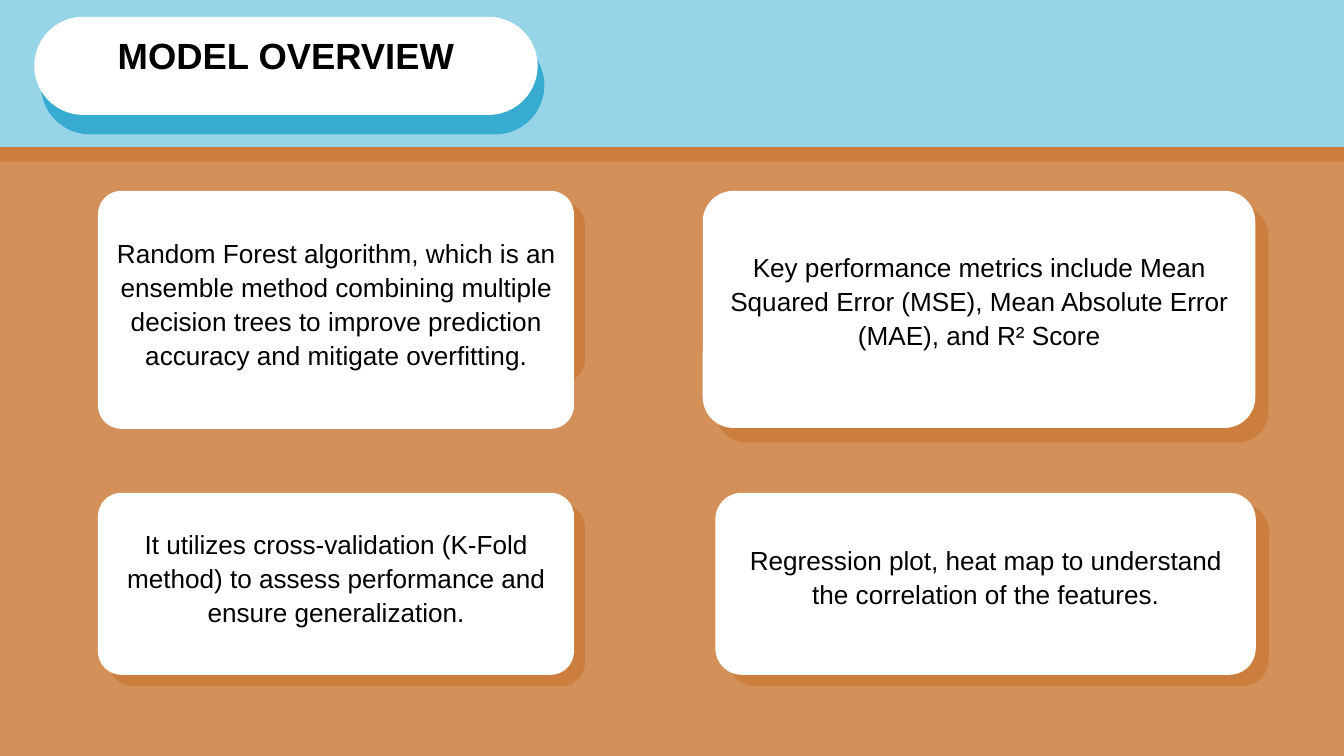
import pptx
import pptx.dml.color
import pptx.enum.shapes
import pptx.enum.text
import pptx.util

Pt = pptx.util.Pt
SHAPE = pptx.enum.shapes.MSO_SHAPE
BLUE, TEAL, BROWN, WHITE, BLACK = "97D4E8", "38ABD1", "CC7E3E", "FFFFFF", "000001"

prs = pptx.Presentation()
prs.slide_width, prs.slide_height = Pt(1440), Pt(810)
s = prs.slides.add_slide(prs.slide_layouts[6])


def paint(fill, color):
    fill.solid()
    fill.fore_color.rgb = pptx.dml.color.RGBColor.from_string(color)


def add_block(x, y, w, h, color, radius=0):
    """Add a plain rectangle, with rounded corners if radius is given."""
    kind = SHAPE.ROUNDED_RECTANGLE if radius else SHAPE.RECTANGLE
    sp = s.shapes.add_shape(kind, Pt(x), Pt(y), Pt(w), Pt(h))
    if radius:
        sp.adjustments[0] = radius / min(w, h)
    sp.shadow.inherit = False
    sp.line.fill.background()
    paint(sp.fill, color)


paint(s.background.fill, "D39059")

# Header bands bleed past the slide edges
add_block(-37.5, -15, 1515, 176.4, BLUE)
add_block(-37.5, 157.7, 1515, 15.1, BROWN)

title_font = {"name": "Arial", "size": Pt(39), "bold": True}
body_font = {"name": "Arial", "size": Pt(28)}
title = {"shade": TEAL, "inset": 4, "spacing": 50.7, "font": title_font}
body = {"shade": BROWN, "inset": 20, "spacing": 36.4, "font": body_font}

# (x, y, w, h), corner radius, (shadow dx, dy, height), text rise above card, style, text
cards = [
    ((36.7, 18, 539.3, 105.1), 52.55, (7.2, 20.9, 105.1), 28.1, title,
     "MODEL OVERVIEW"),
    ((105, 204.5, 510, 255), 25.2, (11.8, 11.7, 193.7), 16, body,
     "Random Forest algorithm, which is an ensemble method combining multiple "
     "decision trees to improve prediction accuracy and mitigate overfitting."),
    ((105, 528, 510, 195), 25.2, (11.8, 12, 195), 16, body,
     "It utilizes cross-validation (K-Fold method) to assess performance and "
     "ensure generalization."),
    ((753, 204.5, 592, 254), 32.9, (13.9, 15.5, 254), 20, body,
     "Key performance metrics include Mean Squared Error (MSE), Mean Absolute "
     "Error (MAE), and R² Score"),
    ((766.5, 528, 579, 195), 28.4, (13.9, 12, 195), 18, body,
     "Regression plot, heat map to understand the correlation of the features."),
]

for (x, y, w, h), radius, (dx, dy, shade_h), rise, style, text in cards:
    add_block(x + dx, y + dy, w, shade_h, style["shade"], radius)
    add_block(x, y, w, h, WHITE, radius)

    tf = s.shapes.add_textbox(Pt(x), Pt(y - rise), Pt(w), Pt(h + rise)).text_frame
    tf.word_wrap = True
    tf.vertical_anchor = pptx.enum.text.MSO_ANCHOR.MIDDLE
    for side in ("left", "top", "right", "bottom"):
        setattr(tf, f"margin_{side}", Pt(style["inset"]))
    p = tf.paragraphs[0]
    p.alignment = pptx.enum.text.PP_ALIGN.CENTER
    p.line_spacing = Pt(style["spacing"])
    r = p.add_run()
    r.text = text
    for name, value in style["font"].items():
        setattr(r.font, name, value)
    paint(r.font.fill, BLACK)

prs.save("out.pptx")
